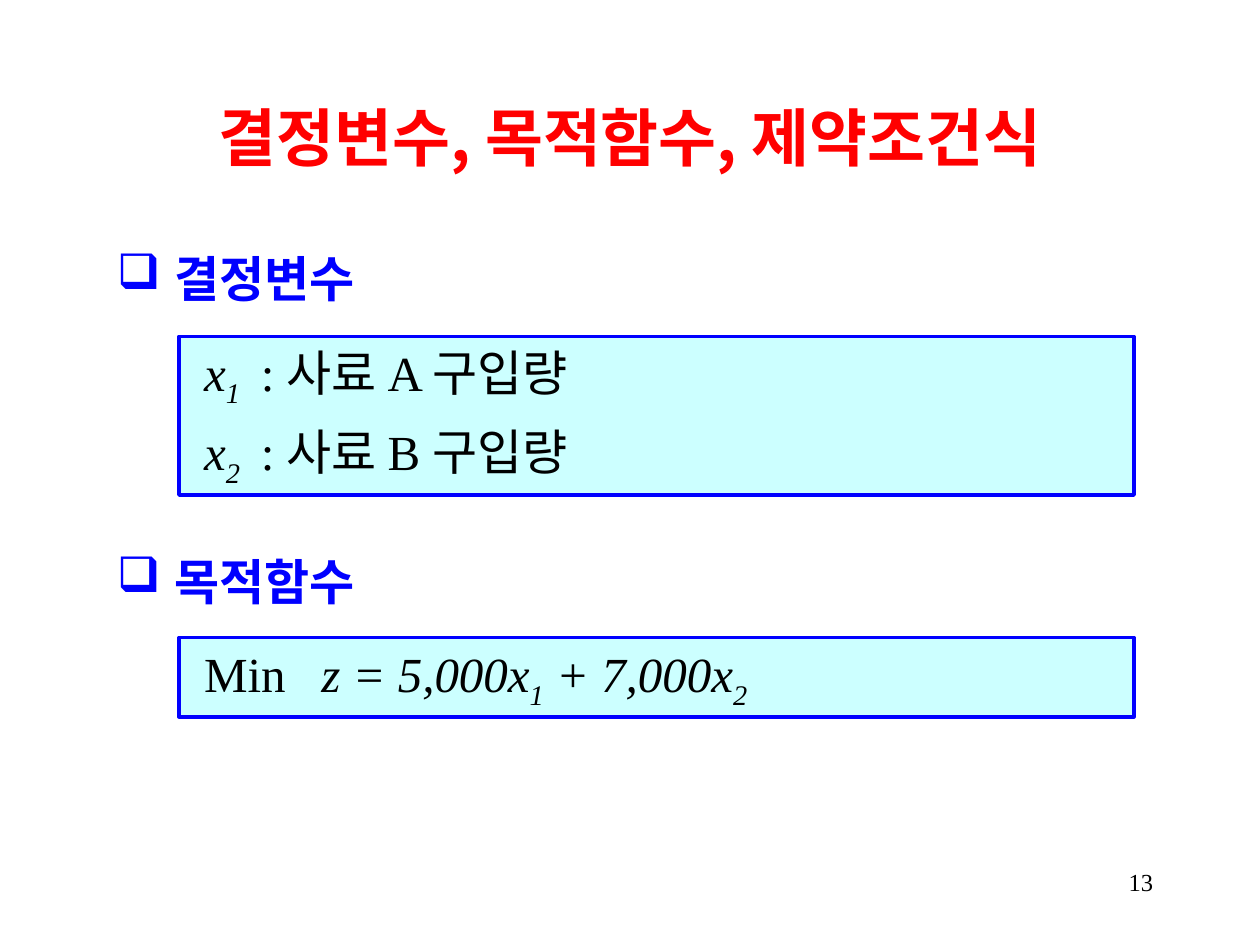
from dataclasses import dataclass

from lxml import etree
from pptx import Presentation
from pptx.dml.color import RGBColor
from pptx.enum.shapes import MSO_SHAPE
from pptx.enum.text import MSO_ANCHOR, MSO_AUTO_SIZE, PP_ALIGN
from pptx.oxml.ns import qn
from pptx.util import Inches, Pt

RECTANGLE = MSO_SHAPE.RECTANGLE
TOP, MIDDLE = MSO_ANCHOR.TOP, MSO_ANCHOR.MIDDLE
LEFT, CENTER, RIGHT = PP_ALIGN.LEFT, PP_ALIGN.CENTER, PP_ALIGN.RIGHT
GROW, FIXED = MSO_AUTO_SIZE.SHAPE_TO_FIT_TEXT, MSO_AUTO_SIZE.NONE


@dataclass(frozen=True)
class Theme:
    red: str = "FF0000"
    blue: str = "0000FF"
    pale: str = "CCFFFF"
    black: str = "000000"
    hangul: str = "Noto Sans CJK KR"
    serif: str = "Times New Roman"
    title: int = 36
    body: int = 28
    number: int = 14


THEME = Theme()

ITALIC, SUBSCRIPT, PLAIN = {"italic": True}, {"italic": True, "base": -25}, {}
BOLD = {"bold": True}

TITLE = "결정변수, 목적함수, 제약조건식"
PAGE_NUMBER = "13"
SECTIONS = [
    {
        "heading": "결정변수", "heading_top": 1.92,
        "panel_top": 2.67, "panel_height": 1.26, "anchor": TOP, "tab": 0.45,
        "lines": [
            [("x", ITALIC), ("1", SUBSCRIPT), ("\t: 사료 A 구입량", PLAIN)],
            [("x", ITALIC), ("2", SUBSCRIPT), ("\t: 사료 B 구입량", PLAIN)],
        ],
    },
    {
        "heading": "목적함수", "heading_top": 4.33,
        "panel_top": 5.06, "panel_height": 0.63, "anchor": MIDDLE, "tab": 0.93,
        "lines": [
            [("Min\t", PLAIN), ("z = 5,000x", ITALIC), ("1", SUBSCRIPT),
             (" + 7,000x", ITALIC), ("2", SUBSCRIPT)],
        ],
    },
]


def add_span(para, text, size, color, font, bold=False, italic=False, base=0):
    span = para.add_run()
    span.text = text
    span.font.size = Pt(size)
    span.font.bold = bold
    span.font.italic = italic
    span.font.name = font
    span.font.color.rgb = RGBColor.from_string(color)
    properties = span.font._element
    etree.SubElement(properties, qn("a:ea"), typeface=THEME.hangul)
    if base:
        properties.set("baseline", str(base * 1000))


def add_bullet(para, color, indent):
    properties = para._p.get_or_add_pPr()
    properties.set("marL", str(Inches(indent)))
    properties.set("indent", str(-Inches(indent)))
    bullet_color = etree.SubElement(properties, qn("a:buClr"))
    etree.SubElement(bullet_color, qn("a:srgbClr"), val=color)
    etree.SubElement(properties, qn("a:buChar"), char="❑")


def add_tab(para, position):
    stops = etree.SubElement(para._p.get_or_add_pPr(), qn("a:tabLst"))
    etree.SubElement(stops, qn("a:tab"), pos=str(Inches(position)), algn="l")


def write(box, lines, size=THEME.body, color=THEME.black, font=THEME.serif,
          align=LEFT, anchor=TOP, resize=FIXED, before=0, inset=0.1,
          bullet=None, tab=None):
    frame = box.text_frame
    frame.word_wrap = True
    frame.auto_size = resize
    frame.vertical_anchor = anchor
    frame.margin_left = Inches(inset)
    for index, line in enumerate(lines):
        para = frame.add_paragraph() if index else frame.paragraphs[0]
        para.alignment = align
        para.space_before = Pt(before)
        if bullet:
            add_bullet(para, color, bullet)
        if tab:
            add_tab(para, tab)
        for text, style in line:
            add_span(para, text, size, color, font, **style)


def add_text(page, left, top, width, height, lines, **style):
    box = page.shapes.add_textbox(*map(Inches, (left, top, width, height)))
    write(box, lines, **style)


def add_panel(page, left, top, width, height, lines, **style):
    panel = page.shapes.add_shape(RECTANGLE, *map(Inches, (left, top, width, height)))
    panel.shadow.inherit = False
    panel.fill.solid()
    panel.fill.fore_color.rgb = RGBColor.from_string(THEME.pale)
    panel.line.color.rgb = RGBColor.from_string(THEME.blue)
    panel.line.width = Pt(2)
    write(panel, lines, **style)


deck = Presentation()
deck.slide_width, deck.slide_height = Inches(10), Inches(7.5)
page = deck.slides.add_slide(deck.slide_layouts[6])

add_text(page, 0.75, 0.67, 8.5, 0.83, [[(TITLE, BOLD)]], size=THEME.title,
         color=THEME.red, font=THEME.hangul, align=CENTER, anchor=MIDDLE)
for section in SECTIONS:
    add_text(page, 0.83, section["heading_top"], 8.5, 0.57,
             [[(section["heading"], BOLD)]], color=THEME.blue, font=THEME.hangul,
             resize=GROW, before=17.5, bullet=0.46)
    add_panel(page, 1.42, section["panel_top"], 7.58, section["panel_height"],
              section["lines"], anchor=section["anchor"], resize=GROW,
              before=7, inset=0.2, tab=section["tab"])
add_text(page, 7.17, 6.83, 2.08, 0.5, [[(PAGE_NUMBER, PLAIN)]],
         size=THEME.number, align=RIGHT)

deck.save("out.pptx")
